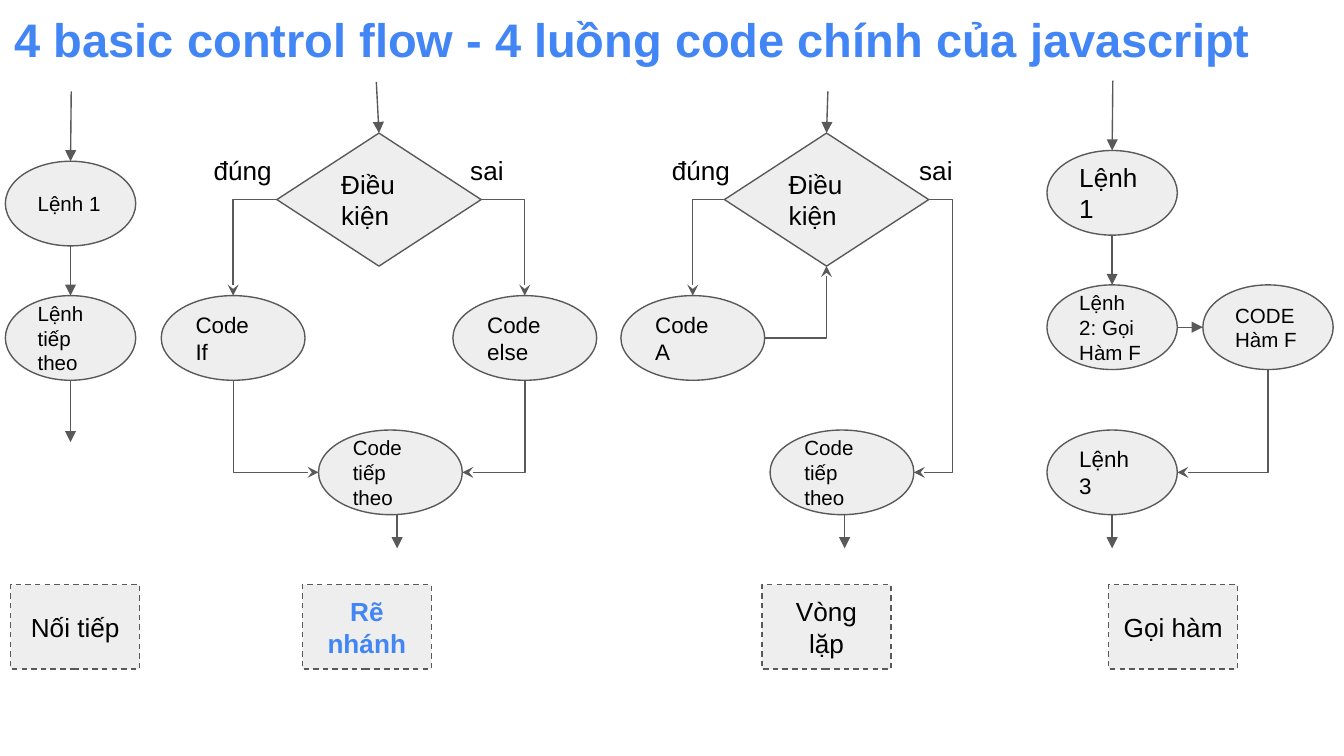
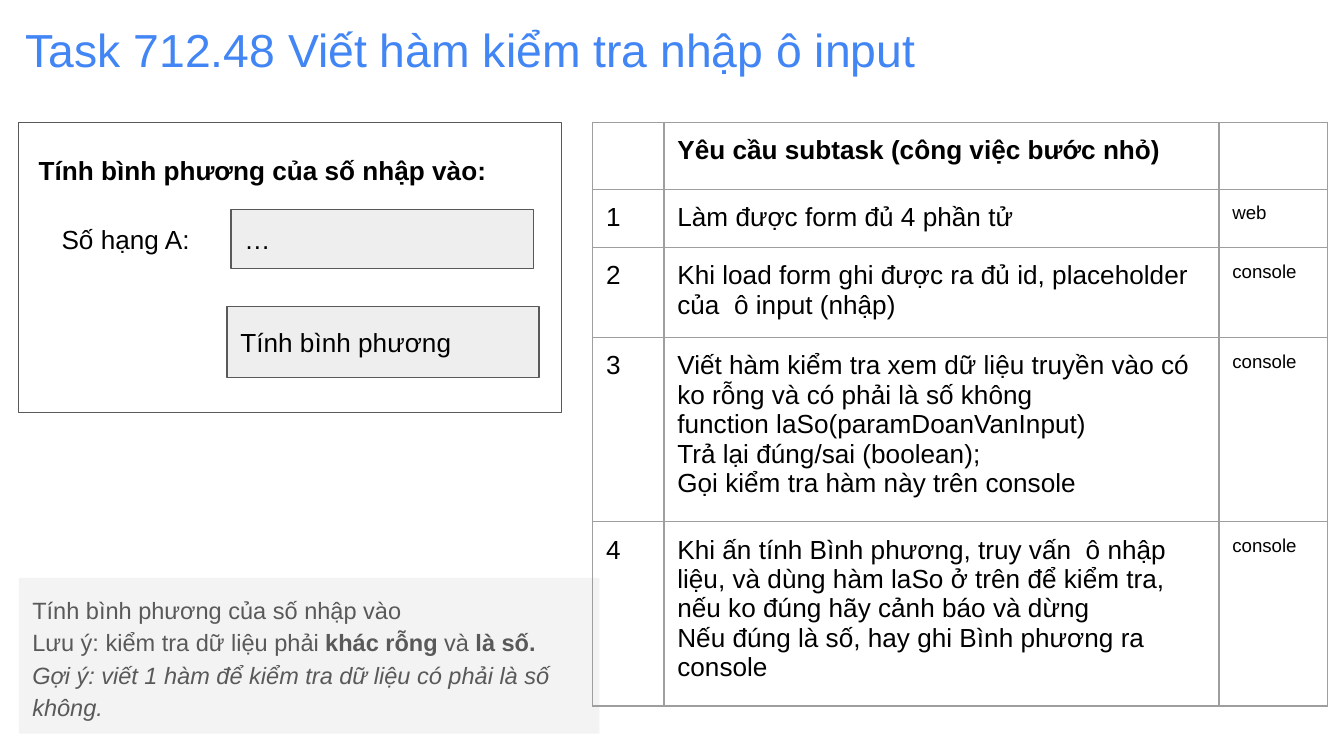
from collections import namedtuple

from lxml import etree
from pptx import Presentation
from pptx import util as u
from pptx.dml.color import RGBColor
from pptx.enum import dml, shapes, text
from pptx.oxml import ns

COLORS = {
    "accent": "4285F4",
    "ink": "000000",
    "line": "595959",
    "node": "EEEEEE",
    "note": "F3F3F3",
    "paper": "FFFFFF",
    "grid": "9E9E9E",
}
FONT = "Arial"
OVAL = shapes.MSO_SHAPE.OVAL
RECTANGLE = shapes.MSO_SHAPE.RECTANGLE
STEP_WIDTH, CODE_WIDTH, NODE_HEIGHT = 0.97, 1.07, 0.63
CAPTION_TOP, CAPTION_WIDTH = 3.75, 0.96
Box = namedtuple("Box", "left top width height")

SUBTASKS = [
    ("", "Yêu cầu subtask (công việc bước nhỏ)", ""),
    ("1", "Làm được form đủ 4 phần tử", "web"),
    ("2", "Khi load form ghi được ra đủ id, placeholder của  ô input (nhập)", "console"),
    ("3", "Viết hàm kiểm tra xem dữ liệu truyền vào có ko rỗng và có phải là số không\n"
          "function laSo(paramDoanVanInput)\n"
          "Trả lại đúng/sai (boolean);\n"
          "Gọi kiểm tra hàm này trên console", "console"),
    ("4", "Khi ấn tính Bình phương, truy vấn  ô nhập liệu, và dùng hàm laSo ở trên để kiểm tra, "
          "nếu ko đúng hãy cảnh báo và dừng\n"
          "Nếu đúng là số, hay ghi Bình phương ra console", "console"),
]
COLUMN_WIDTHS = [0.53, 4.13, 0.81]
ROW_HEIGHTS = [0.5, 0.43, 0.67, 1.37, 1.37]
NOTE_LINES = [
    [("Tính bình phương của số nhập vào", "")],
    [("Lưu ý: kiểm tra dữ liệu phải ", ""), ("khác rỗng", "bold"), (" và ", ""), ("là số.", "bold")],
    [("Gợi ý: viết 1 hàm để kiểm tra dữ liệu có phải là số không.", "italic")],
]


def rgb(name):
    """Return the named colour."""
    return RGBColor.from_string(COLORS[name])


def inset(box, left, top, width, height):
    """Return slide lengths for a part placed inside a box."""
    return [u.Inches(n) for n in (box.left + left, box.top + top, width, height)]


def style_paragraph(para, size, color="ink", bold=False, align=text.PP_ALIGN.LEFT):
    """Set the look of a whole paragraph."""
    para.alignment = align
    para.font.name = FONT
    para.font.size = u.Pt(size)
    para.font.bold = bold
    para.font.color.rgb = rgb(color)


def set_margins(frame):
    """Give a text frame equal margins and wrapping."""
    frame.word_wrap = True
    frame.margin_left = frame.margin_right = u.Inches(0.1)
    frame.margin_top = frame.margin_bottom = u.Inches(0.1)


def write(frame, words, size, anchor=text.MSO_ANCHOR.TOP, **look):
    """Fill a text frame with paragraphs of one look."""
    set_margins(frame)
    frame.vertical_anchor = anchor
    frame.text = words
    for para in frame.paragraphs:
        style_paragraph(para, size, **look)


def add_title(page, place, words, size, bold=False):
    """Place and format the slide title."""
    title = page.shapes.title
    title.left, title.top, title.width, title.height = [u.Inches(n) for n in place]
    title.text_frame.auto_size = text.MSO_AUTO_SIZE.NONE
    write(title.text_frame, words, size, color="accent", bold=bold)


def add_node(page, place, words="", size=14, kind=RECTANGLE, fill="node", **look):
    """Draw an outlined shape with words in it."""
    node = page.shapes.add_shape(kind, *place)
    node.shadow.inherit = False
    node.fill.solid()
    node.fill.fore_color.rgb = rgb(fill)
    node.line.color.rgb = rgb("line")
    node.line.width = u.Pt(0.75)
    if words:
        write(node.text_frame, words, size, text.MSO_ANCHOR.MIDDLE, **look)
    return node


def add_step(page, box, left, top, words, size, width=STEP_WIDTH):
    """Draw one oval command."""
    return add_node(page, inset(box, left, top, width, NODE_HEIGHT), words, size, OVAL)


def add_label(page, place, words, **look):
    """Write a free label."""
    write(page.shapes.add_textbox(*place).text_frame, words, 14, **look)


def add_caption(page, box, left, words, **look):
    """Draw the dashed name of a flow."""
    place = inset(box, left, CAPTION_TOP, CAPTION_WIDTH, NODE_HEIGHT)
    caption = add_node(page, place, words, align=text.PP_ALIGN.CENTER, **look)
    caption.line.dash_style = dml.MSO_LINE.DASH


def side(node, name):
    """Return the middle of a side of a shape."""
    across = {"left": 0, "right": 1}.get(name, 0.5)
    down = {"top": 0, "bottom": 1}.get(name, 0.5)
    return int(node.left + across * node.width), int(node.top + down * node.height)


def draw_connector(page, kind, start, end, head):
    """Draw a connector with an arrowhead at its end."""
    link = page.shapes.add_connector(kind, *[int(n) for n in (*start, *end)])
    link.line.color.rgb = rgb("line")
    link.line.width = u.Pt(0.75)
    properties = link.element.spPr
    etree.SubElement(properties.find(ns.qn("a:ln")), ns.qn("a:tailEnd"), type=head)
    etree.SubElement(properties, ns.qn("a:effectLst"))
    return link


def add_arrow(page, start, end, target=None):
    """Draw a straight arrow, joined to the top of its target if given."""
    arrow = draw_connector(page, shapes.MSO_CONNECTOR.STRAIGHT, start, end, "triangle")
    if target is not None:
        arrow.end_connect(target, 0)


def add_entry(page, box, left, top, node):
    """Draw the arrow that enters a flow."""
    add_arrow(page, inset(box, left, top, 0, 0)[:2], side(node, "top"), node)


def add_exit(page, node, length, shift=0):
    """Draw the arrow that leaves a flow."""
    x, y = side(node, "bottom")
    x += u.Inches(shift)
    add_arrow(page, (x, y), (x, y + u.Inches(length)))


def add_bend(page, start, end, down_first=False):
    """Draw an arrow with one right-angled bend."""
    if down_first:
        middle_x, middle_y = (start[0] + end[0]) / 2, (start[1] + end[1]) / 2
        half_x, half_y = (end[0] - start[0]) / 2, (end[1] - start[1]) / 2
        start = middle_x - half_y, middle_y + half_x
        end = middle_x + half_y, middle_y - half_x
    bend = draw_connector(page, shapes.MSO_CONNECTOR.ELBOW, start, end, "stealth")
    properties = bend.element.spPr
    properties.find(ns.qn("a:prstGeom")).set("prst", "bentConnector2")
    if down_first:
        properties.find(ns.qn("a:xfrm")).set("rot", "5400000")


def add_detour(page, start, end, reach):
    """Draw an arrow that runs out sideways by a reach and comes back."""
    detour = draw_connector(page, shapes.MSO_CONNECTOR.ELBOW, start, end, "stealth")
    geometry = detour.element.spPr.find(ns.qn("a:prstGeom"))
    guides = geometry.find(ns.qn("a:avLst"))
    if guides is None:
        guides = etree.SubElement(geometry, ns.qn("a:avLst"))
    bend = round(u.Inches(reach) / (end[0] - start[0]) * 100000)
    etree.SubElement(guides, ns.qn("a:gd"), name="adj1", fmla=f"val {bend}")


def add_decision(page, box, left, true_left, false_left):
    """Draw a condition with its two answers."""
    place = inset(box, left, 0.39, 1.52, 0.99)
    for answer_left, words in ((true_left, "đúng"), (false_left, "sai")):
        add_label(page, inset(box, answer_left, 0.45, 0.71, 0.44), words)
    return add_node(page, place, "Điều kiện", 14, shapes.MSO_SHAPE.FLOWCHART_DECISION)


def draw_sequence(page, box):
    """Draw commands that run one after another."""
    first = add_step(page, box, 0, 0.6, "Lệnh 1", 11)
    following = add_step(page, box, 0, 1.6, "Lệnh tiếp theo", 11)
    add_entry(page, box, 0.49, 0.08, first)
    add_arrow(page, side(first, "bottom"), side(following, "top"), following)
    add_exit(page, following, 0.46)
    add_caption(page, box, 0.04, "Nối tiếp")


def draw_branch(page, box):
    """Draw a condition that picks one of two codes."""
    condition = add_decision(page, box, 0.86, 0.29, 2.2)
    following = add_step(page, box, 1.17, 2.6, "Code tiếp theo", 11, CODE_WIDTH)
    for left, words, edge in ((0, "Code  If", "left"), (2.17, "Code else", "right")):
        code = add_step(page, box, left, 1.6, words, 12, CODE_WIDTH)
        add_bend(page, side(condition, edge), side(code, "top"))
        add_bend(page, side(code, "bottom"), side(following, edge), down_first=True)
    add_entry(page, box, 1.6, 0.01, condition)
    add_exit(page, following, 0.25, shift=0.05)
    add_caption(page, box, 1.05, "Rẽ nhánh", color="accent", bold=True)


def draw_loop(page, box):
    """Draw a code that repeats while a condition holds."""
    condition = add_decision(page, box, 0.77, 0.28, 2.12)
    code = add_step(page, box, 0, 1.6, "Code  A", 12, CODE_WIDTH)
    following = add_step(page, box, 1.11, 2.6, "Code tiếp theo", 11, CODE_WIDTH)
    add_entry(page, box, 1.54, 0.08, condition)
    add_bend(page, side(condition, "left"), side(code, "top"))
    add_bend(page, side(code, "right"), side(condition, "bottom"))
    add_detour(page, side(condition, "right"), side(following, "right"), 0.18)
    add_exit(page, following, 0.25, shift=0.02)
    add_caption(page, box, 1.05, "Vòng lặp")


def draw_call(page, box):
    """Draw a command that calls a function and goes on."""
    first = add_step(page, box, 0, 0.52, "Lệnh 1", 14)
    call = add_step(page, box, 0, 1.52, "Lệnh 2: Gọi Hàm F", 11)
    last = add_step(page, box, 0, 2.6, "Lệnh 3", 12)
    function = add_step(page, box, 1.16, 1.52, "CODE Hàm F", 11)
    add_entry(page, box, 0.49, 0, first)
    add_arrow(page, side(first, "bottom"), side(call, "top"), call)
    add_arrow(page, side(call, "right"), side(function, "left"))
    add_bend(page, side(function, "bottom"), side(last, "right"), down_first=True)
    add_exit(page, last, 0.25)
    add_caption(page, box, 0.46, "Gọi hàm")


def draw_form(page, box):
    """Draw the sketch of the input form."""
    add_node(page, inset(box, 0, 0, box.width, box.height), fill="paper")
    add_label(page, inset(box, 0.05, 0.14, 5.9, 0.44), "Tính bình phương của số nhập vào:", bold=True)
    add_label(page, inset(box, 0.22, 0.65, 1.4, 0.44), "Số hạng A:")
    add_node(page, inset(box, 1.58, 0.65, 2.25, 0.44), "…")
    add_node(page, inset(box, 1.55, 1.37, 2.32, 0.53), "Tính bình phương")


def draw_note(page, box):
    """Fill the body placeholder with the task note."""
    note = page.placeholders[1]
    note.left, note.top, note.width, note.height = inset(box, 0, 0, box.width, box.height)
    note.fill.solid()
    note.fill.fore_color.rgb = rgb("note")
    frame = note.text_frame
    frame.auto_size = text.MSO_AUTO_SIZE.NONE
    set_margins(frame)
    para = frame.paragraphs[0]
    style_paragraph(para, 12.6, "line")
    para.line_spacing = 1.15
    para.space_before = u.Pt(0)
    properties = para._p.get_or_add_pPr()
    properties.set("marL", "0")
    properties.set("indent", "0")
    properties.find(ns.qn("a:defRPr")).addprevious(etree.Element(ns.qn("a:buNone")))
    for index, line in enumerate(NOTE_LINES):
        if index:
            para.add_line_break()
        for words, style in line:
            span = para.add_run()
            span.text = words
            span.font.bold = style == "bold"
            span.font.italic = style == "italic"


def border_cell(cell):
    """Draw thin lines around a table cell."""
    properties = cell._tc.get_or_add_tcPr()
    for index, edge in enumerate(("lnL", "lnR", "lnT", "lnB")):
        line = etree.Element(ns.qn(f"a:{edge}"), w=str(u.Pt(0.75)))
        paint = etree.SubElement(line, ns.qn("a:solidFill"))
        etree.SubElement(paint, ns.qn("a:srgbClr"), val=COLORS["grid"])
        properties.insert(index, line)


def draw_subtasks(page, box):
    """Draw the table of subtasks."""
    place = inset(box, 0, 0, box.width, box.height)
    table = page.shapes.add_table(len(SUBTASKS), len(COLUMN_WIDTHS), *place).table
    table.first_row = table.horz_banding = False
    for column, width in zip(table.columns, COLUMN_WIDTHS):
        column.width = u.Inches(width)
    for row_index, (row, height) in enumerate(zip(table.rows, ROW_HEIGHTS)):
        row.height = u.Inches(height)
        for column_index, cell in enumerate(row.cells):
            cell.fill.background()
            border_cell(cell)
            set_margins(cell)
            cell.text = SUBTASKS[row_index][column_index]
            for para in cell.text_frame.paragraphs:
                style_paragraph(para, 10 if column_index == 2 else 14, bold=row_index == 0)


def build_flow_page(deck):
    """Build the slide of the four control flows."""
    page = deck.slides.add_slide(deck.slide_layouts[5])
    add_title(page, (0.01, -0.02, 10, 0.63), "4 basic control flow - 4 luồng code chính của javascript", 25.2, True)
    flows = ((draw_sequence, 0.04), (draw_branch, 1.2), (draw_loop, 4.62), (draw_call, 7.79))
    for draw, left in flows:
        draw(page, Box(left, 0.6, 3.24, 4.4))


def build_task_page(deck):
    """Build the slide of the input check task."""
    page = deck.slides.add_slide(deck.slide_layouts[1])
    add_title(page, (0.09, 0.06, 9.32, 0.63), "Task 712.48 Viết hàm kiểm tra nhập ô input", 24.8)
    draw_form(page, Box(0.14, 0.91, 4.04, 2.16))
    draw_note(page, Box(0.14, 4.3, 4.32, 1.16))
    draw_subtasks(page, Box(4.41, 0.91, sum(COLUMN_WIDTHS), sum(ROW_HEIGHTS)))


def main():
    """Build and save the deck in a 16:9 format."""
    deck = Presentation()
    deck.slide_width = u.Inches(10)
    deck.slide_height = deck.slide_width * 9 // 16
    build_flow_page(deck)
    build_task_page(deck)
    deck.save("out.pptx")


if __name__ == "__main__":
    main()
